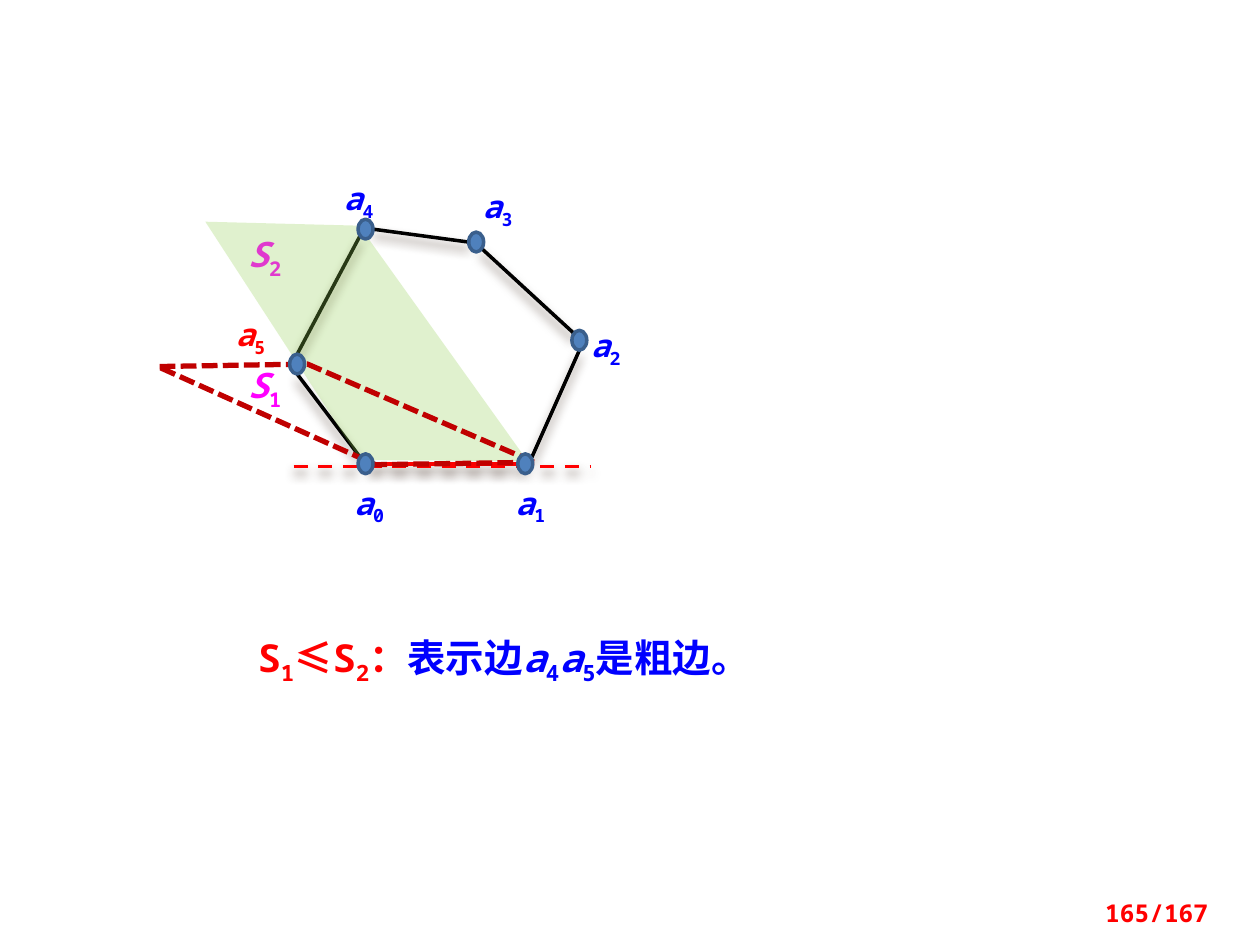
from lxml.etree import SubElement
from pptx import Presentation
from pptx.dml.color import RGBColor
from pptx.enum.dml import MSO_LINE_DASH_STYLE as Dash
from pptx.enum.shapes import MSO_CONNECTOR, MSO_SHAPE
from pptx.enum.text import PP_ALIGN
from pptx.oxml.ns import qn
from pptx.util import Cm, Pt

COLORS = {
    "red": "FF0000", "blue": "0000FF", "magenta": "FF00FF", "black": "000000",
    "dot": "4F81BD", "dot_line": "3A5F8C", "shadow": "4E3B30",
    "area": "92D050", "triangle": "C00000",
}
MONO, CJK = "Noto Sans Mono", "Noto Sans CJK SC"

DOT_WIDTH, DOT_HEIGHT = 0.3, 0.4
# Centre of each vertex a0..a5, and top left of its label, in cm
VERTICES = [(7.37, 9.35), (10.59, 9.35), (11.68, 6.86),
            (9.6, 4.88), (7.37, 4.62), (5.99, 7.34)]
VERTEX_LABELS = [(7.14, 9.75), (10.39, 9.75), (11.91, 6.58),
                 (9.73, 3.78), (6.93, 3.61), (4.75, 6.35)]
EDGES = [((10.72, 9.22), (11.68, 7.06)), ((11.58, 6.73), (9.7, 5)),
         ((9.45, 4.88), (7.52, 4.62)), ((7.26, 4.75), (5.99, 7.14)),
         ((7.24, 9.19), (5.99, 7.54))]
AREA_S2 = [(7.26, 9.27), (10.64, 9.3), (7.24, 4.55), (4.14, 4.47)]
AREA_S1 = [(10.77, 9.32), (7.57, 9.37), (3.18, 7.39), (6.2, 7.34)]


def rgb(color):
    return RGBColor.from_string(COLORS[color])


def add_run(paragraph, text, size, color, italic=False, sub=False, font=MONO):
    run = paragraph.add_run()
    run.text = text
    run.font.size = Pt(size)
    run.font.bold = True
    run.font.italic = italic
    run.font.color.rgb = rgb(color)
    run.font.name = font
    properties = run._r.get_or_add_rPr()
    SubElement(properties, qn("a:ea")).set("typeface", CJK)
    if sub:
        properties.set("baseline", "-25000")


def add_symbol(paragraph, letter, index, size, color, italic=True):
    """Add a letter with a subscript index."""
    add_run(paragraph, letter, size, color, italic=italic)
    add_run(paragraph, str(index), size, color, sub=True)


def add_text_box(slide, left, top, width, height, inset=True):
    """Add an empty text box and return its first paragraph."""
    box = slide.shapes.add_textbox(Cm(left), Cm(top), Cm(width), Cm(height))
    frame = box.text_frame
    frame.word_wrap = True
    if not inset:
        frame.margin_left = frame.margin_right = 0
        frame.margin_top = frame.margin_bottom = 0
    return frame.paragraphs[0]


def add_edge(slide, start, end, color, dash=None):
    """Add a straight line with a soft shadow below it."""
    edge = slide.shapes.add_connector(
        MSO_CONNECTOR.STRAIGHT, *[Cm(value) for value in start + end])
    edge.line.color.rgb = rgb(color)
    edge.line.width = Pt(2)
    if dash:
        edge.line.dash_style = dash
    effects = SubElement(edge._element.spPr, qn("a:effectLst"))
    shadow = SubElement(effects, qn("a:outerShdw"), blurRad=str(Pt(6)),
                        dist=str(Pt(4)), dir="5400000", rotWithShape="0")
    tint = SubElement(shadow, qn("a:srgbClr"), val=COLORS["shadow"])
    SubElement(tint, qn("a:alpha"), val="60000")


def add_polygon(slide, corners):
    points = [(Cm(x), Cm(y)) for x, y in corners]
    builder = slide.shapes.build_freeform(*points[0])
    builder.add_line_segments(points[1:], close=True)
    polygon = builder.convert_to_shape()
    polygon.shadow.inherit = False
    return polygon


def add_dot(slide, x, y):
    dot = slide.shapes.add_shape(
        MSO_SHAPE.OVAL, Cm(x - DOT_WIDTH / 2), Cm(y - DOT_HEIGHT / 2),
        Cm(DOT_WIDTH), Cm(DOT_HEIGHT))
    dot.shadow.inherit = False
    dot.fill.solid()
    dot.fill.fore_color.rgb = rgb("dot")
    dot.line.color.rgb = rgb("dot_line")
    dot.line.width = Pt(2)


def add_areas(slide):
    s2 = add_polygon(slide, AREA_S2)
    s2.fill.solid()
    s2.fill.fore_color.rgb = rgb("area")
    fill_color = s2._element.spPr.find(qn("a:solidFill"))[0]
    SubElement(fill_color, qn("a:alpha"), val="28000")
    s2.line.fill.background()

    s1 = add_polygon(slide, AREA_S1)
    s1.fill.background()
    s1.line.color.rgb = rgb("triangle")
    s1.line.width = Pt(3)
    s1.line.dash_style = Dash.SQUARE_DOT


def add_explanation(slide):
    line = add_text_box(slide, 4.95, 12.12, 9.93, 1.68)
    line.line_spacing = 1.5
    add_symbol(line, "S", 1, 22, "red", italic=False)
    add_run(line, "≤", 22, "red", font=CJK)
    add_symbol(line, "S", 2, 22, "red", italic=False)
    add_run(line, "：", 22, "red")
    add_run(line, "表示边", 22, "blue")
    for index in (4, 5):
        add_symbol(line, "a", index, 22, "blue")
    add_run(line, "是粗边。", 22, "blue")


def main():
    deck = Presentation()
    deck.slide_width, deck.slide_height = Cm(25.4), Cm(19.05)
    slide = deck.slides.add_slide(deck.slide_layouts[6])

    for index, top in ((1, 7.21), (2, 4.57)):
        label = add_text_box(slide, 4.75, top, 1.6, 1.12)
        add_symbol(label, "S", index, 20, "magenta")

    add_edge(slide, (7.49, 9.35), (10.44, 9.35), "red")
    for start, end in EDGES:
        add_edge(slide, start, end, "black")
    add_edge(slide, (5.92, 9.4), (11.91, 9.4), "red", Dash.DASH)

    for index, (left, top) in enumerate(VERTEX_LABELS):
        label = add_text_box(slide, left, top, 0.79, 0.76, inset=False)
        add_symbol(label, "a", index, 18, "red" if index == 5 else "blue")

    add_explanation(slide)
    add_areas(slide)
    for x, y in VERTICES:
        add_dot(slide, x, y)

    page = add_text_box(slide, 21.64, 17.98, 2.97, 0.66)
    page.alignment = PP_ALIGN.RIGHT
    add_run(page, "165/167", 14, "red")
    deck.save("out.pptx")


if __name__ == "__main__":
    main()
